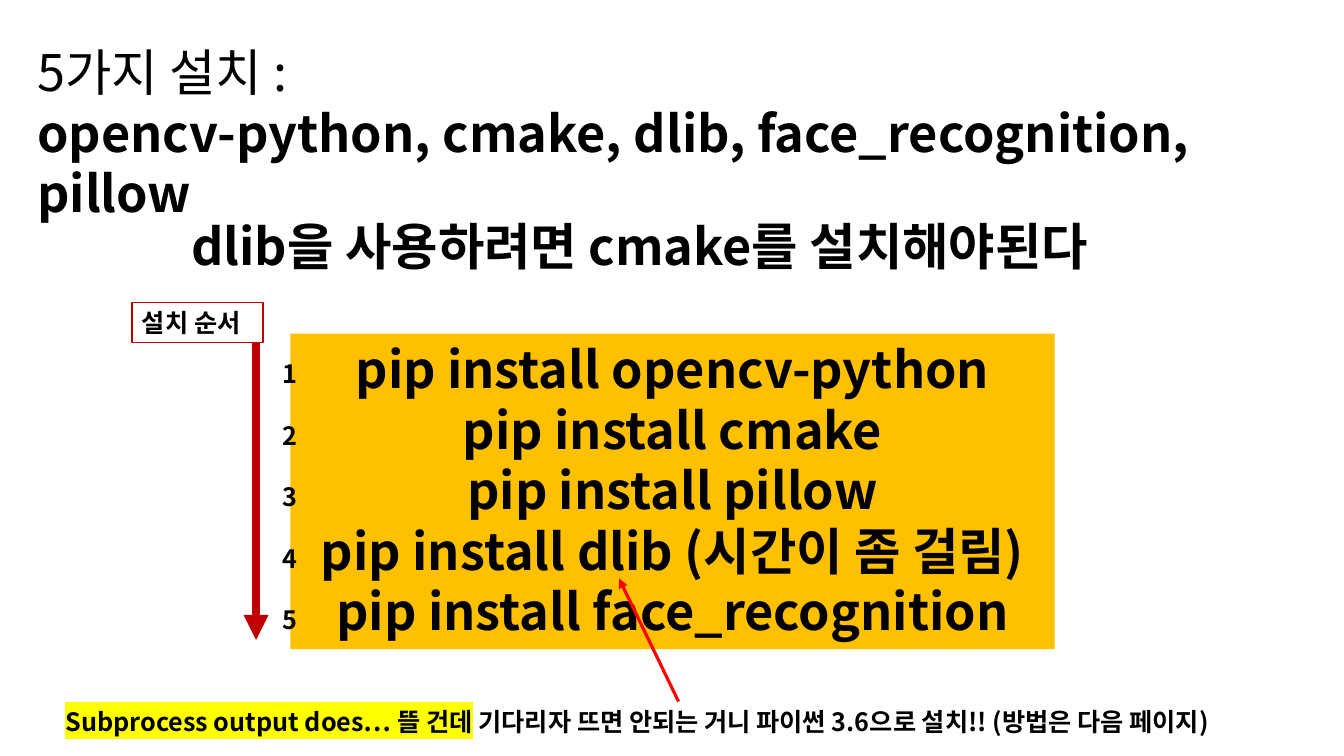
from dataclasses import dataclass
from typing import Optional

from lxml.etree import SubElement
from pptx import Presentation
from pptx.dml.color import RGBColor
from pptx.enum.shapes import MSO_CONNECTOR, MSO_SHAPE
from pptx.enum.text import MSO_ANCHOR, MSO_AUTO_SIZE, PP_ALIGN
from pptx.oxml.ns import qn
from pptx.util import Inches, Pt

FONT = "Noto Sans CJK KR"
COLORS = {
    "text": "000000",
    "commands": "FFC000",
    "white": "FFFFFF",
    "order": "C00000",
    "pointer": "FF0000",
    "highlight": "FFFF00",
}


@dataclass
class Words:
    text: str
    size: int = 36
    bold: bool = True
    highlight: Optional[str] = None


@dataclass
class Panel:
    left: float
    top: float
    width: float
    height: float
    paragraphs: list[list[Words]]
    align: PP_ALIGN = PP_ALIGN.LEFT
    fill: Optional[str] = None
    line: Optional[str] = None


@dataclass
class Arrow:
    start: tuple[float, float]
    end: tuple[float, float]
    color: str
    width: float


def rgb(name: str) -> RGBColor:
    return RGBColor.from_string(COLORS[name])


def add_words(paragraph, words: Words) -> None:
    run = paragraph.add_run()
    run.text = words.text
    font = run.font
    font.size, font.bold = Pt(words.size), words.bold
    font.color.rgb = rgb("text")
    properties = font._element
    if words.highlight:
        mark = SubElement(properties, qn("a:highlight"))
        SubElement(mark, qn("a:srgbClr"), val=COLORS[words.highlight])
    font.name = FONT
    SubElement(properties, qn("a:ea"), typeface=FONT)


def fill_panel(shape, panel: Panel):
    shape.left, shape.top = Inches(panel.left), Inches(panel.top)
    shape.width, shape.height = Inches(panel.width), Inches(panel.height)
    frame = shape.text_frame
    frame.word_wrap = True
    frame.auto_size = MSO_AUTO_SIZE.NONE
    frame.vertical_anchor = MSO_ANCHOR.TOP
    for index, line in enumerate(panel.paragraphs):
        paragraph = frame.add_paragraph() if index else frame.paragraphs[0]
        paragraph.alignment = panel.align
        for words in line:
            add_words(paragraph, words)
    return shape


def add_panel(slide, panel: Panel):
    box = [Inches(v) for v in (panel.left, panel.top, panel.width, panel.height)]
    if panel.fill is None:
        return fill_panel(slide.shapes.add_textbox(*box), panel)
    shape = slide.shapes.add_shape(MSO_SHAPE.RECTANGLE, *box)
    shape.shadow.inherit = False
    shape.fill.solid()
    shape.fill.fore_color.rgb = rgb(panel.fill)
    if panel.line:
        shape.line.color.rgb = rgb(panel.line)
        shape.line.width = Pt(1)
    else:
        shape.line.fill.background()
    return fill_panel(shape, panel)


def add_arrow(slide, arrow: Arrow):
    ends = [Inches(v) for v in (*arrow.start, *arrow.end)]
    connector = slide.shapes.add_connector(MSO_CONNECTOR.STRAIGHT, *ends)
    connector.line.color.rgb = rgb(arrow.color)
    connector.line.width = Pt(arrow.width)
    SubElement(connector.line._get_or_add_ln(), qn("a:tailEnd"), type="triangle")
    SubElement(connector._element.spPr, qn("a:effectLst"))
    return connector


HEADING = Panel(0.27, 0.36, 12.91, 1.31, [
    [Words("5가지 설치 :", bold=False)],
    [Words("opencv-python, cmake, dlib, face_recognition, pillow")],
])
REQUIREMENT = Panel(1.8, 2.08, 9.74, 0.71, [[Words("dlib을 사용하려면 cmake를 설치해야된다")]])
COMMANDS = [
    "pip install opencv-python",
    "pip install cmake",
    "pip install pillow",
    "pip install dlib (시간이 좀 걸림)",
    "pip install face_recognition",
]
COMMAND_PANEL = Panel(2.88, 3.31, 7.58, 3.13, [[Words(c)] for c in COMMANDS],
                      PP_ALIGN.CENTER, "commands")
WARNING = Panel(0.55, 6.96, 12.36, 0.4, [[
    Words("Subprocess output does… 뜰 건데", 18, highlight="highlight"),
    Words(" 기다리자 뜨면 안되는 거니 파이썬 3.6으로 설치!! (방법은 다음 페이지)", 18),
]])
ORDER_LABEL = Panel(1.31, 3, 1.3, 0.4, [[Words("설치 순서", 18)]],
                    fill="white", line="order")
POINTER = Arrow((6.73, 6.96), (6.14, 5.74), "pointer", 2.25)
ORDER_ARROW = Arrow((2.54, 3.39), (2.54, 6.35), "order", 6)
NUMBER_TOP, NUMBER_PITCH = 3.51, 0.61


def main() -> None:
    prs = Presentation()
    prs.slide_width, prs.slide_height = Inches(13.33), Inches(7.5)
    slide = prs.slides.add_slide(prs.slide_layouts[5])

    # Heading and requirement
    fill_panel(slide.shapes.title, HEADING)
    add_panel(slide, REQUIREMENT)

    # Install commands and the warning about dlib
    add_panel(slide, COMMAND_PANEL)
    warning = add_panel(slide, WARNING)
    add_arrow(slide, POINTER).begin_connect(warning, 0)

    # Install order
    add_arrow(slide, ORDER_ARROW)
    add_panel(slide, ORDER_LABEL)
    for index in range(len(COMMANDS)):
        top = NUMBER_TOP + index * NUMBER_PITCH
        add_panel(slide, Panel(2.7, top, 0.32, 0.4, [[Words(str(index + 1), 18)]]))

    prs.save("out.pptx")


if __name__ == "__main__":
    main()
